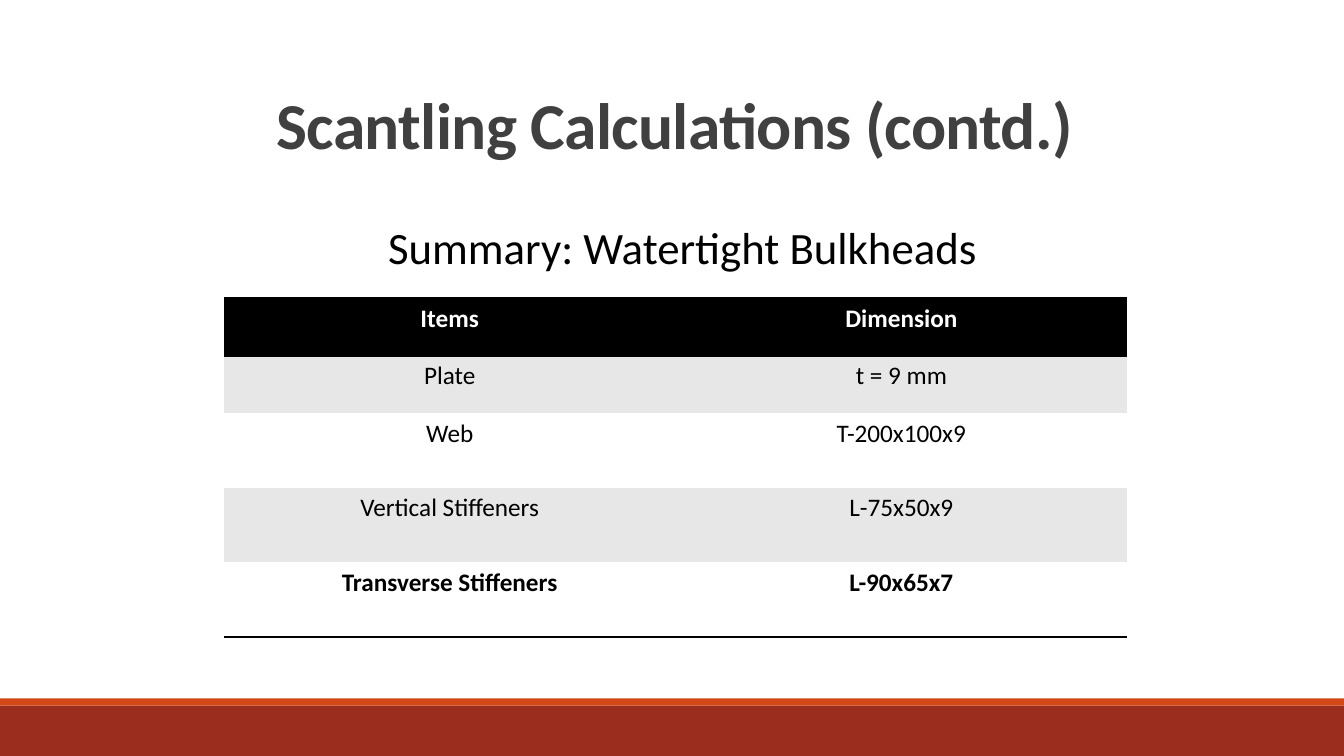
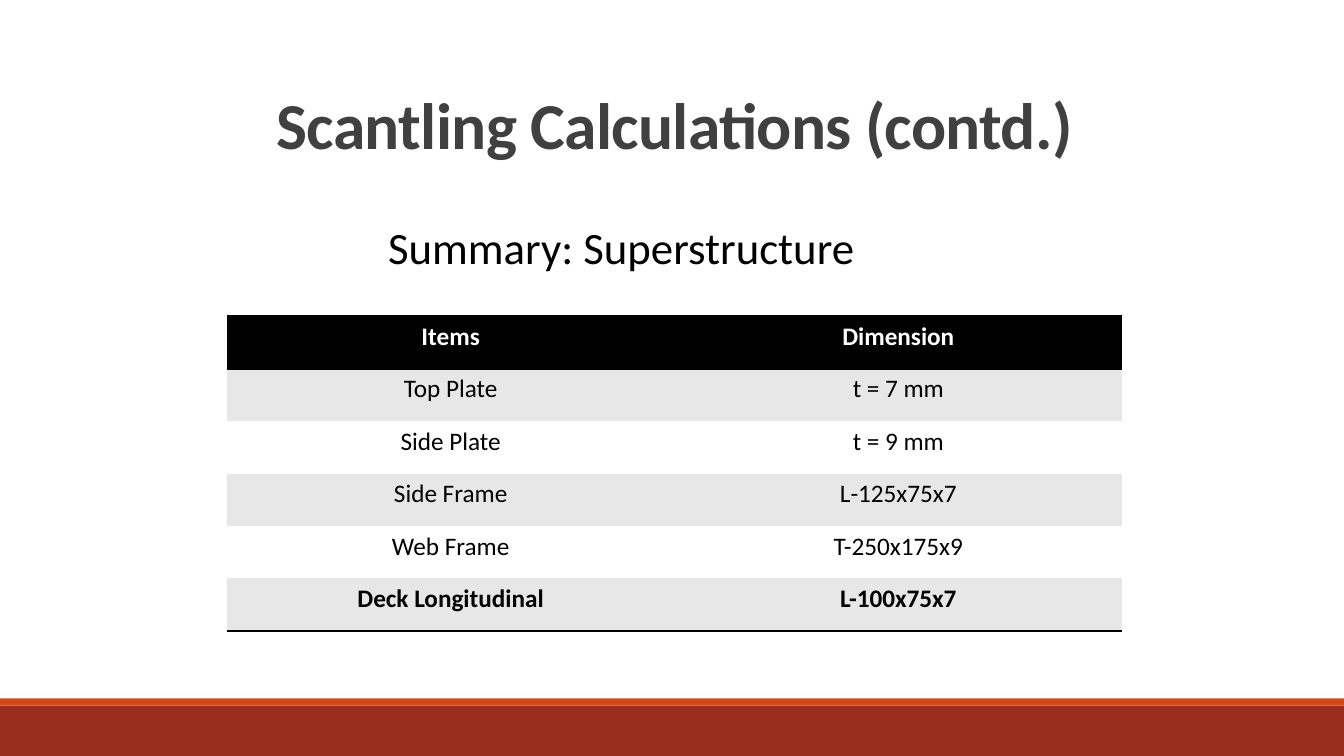
from lxml.etree import SubElement
from pptx import Presentation
from pptx.dml.color import RGBColor
from pptx.enum.shapes import MSO_SHAPE as Shape
from pptx.enum.text import MSO_ANCHOR as Anchor, MSO_AUTO_SIZE as AutoSize, PP_ALIGN as Align
from pptx.oxml import parse_xml
from pptx.oxml.ns import nsdecls, qn
from pptx.util import Inches, Pt

WIDTH, HEIGHT = 13.33, 7.5
FONT = "Calibri"
BLACK = RGBColor(0x00, 0x00, 0x00)
WHITE = RGBColor(0xFF, 0xFF, 0xFF)
STRIPE = RGBColor(0xE7, 0xE7, 0xE7)
TITLE_GREY = RGBColor(0x40, 0x40, 0x40)
BRICK = RGBColor(0x9B, 0x2D, 0x1F)
ORANGE = RGBColor(0xD3, 0x48, 0x17)

TITLE = "Scantling Calculations (contd.)"
HEADINGS = ("Items", "Dimension")
PLAIN_TABLE = "{2D5ABB26-0587-4C30-8999-92F81FD0307C}"

# Bottom bands: top, height, colour
BAND_TOP, ACCENT = 7, 0.07
BANDS = ((BAND_TOP, HEIGHT - BAND_TOP, BRICK),
         (BAND_TOP - ACCENT, ACCENT, ORANGE))

# Each slide: subtitle, then table left, top, column width, row heights, body rows
SLIDES = (
    ("Summary: Watertight Bulkheads", 2.22, 2.96, 4.48, [0.57] * 2 + [0.74] * 3,
     (("Plate", "t = 9 mm"),
      ("Web", "T-200x100x9"),
      ("Vertical Stiffeners", "L-75x50x9"),
      ("Transverse Stiffeners", "L-90x65x7"))),
    ("Summary: Superstructure", 2.25, 3.14, 4.44, [0.52] * 6,
     (("Top Plate", "t = 7 mm"),
      ("Side Plate", "t = 9 mm"),
      ("Side Frame", "L-125x75x7"),
      ("Web Frame", "T-250x175x9"),
      ("Deck Longitudinal", "L-100x75x7"))),
)


def write(frame, text, size, color, bold=False, align=Align.CENTER, spacing=None):
    frame.text = text
    para = frame.paragraphs[0]
    para.alignment = align
    para.line_spacing = spacing
    font = para.font
    font.name, font.size, font.bold = FONT, Pt(size), bold
    font.color.rgb = color
    return para


def add_bands(slide):
    for top, height, color in BANDS:
        band = slide.shapes.add_shape(Shape.RECTANGLE, 0, Inches(top),
                                      Inches(WIDTH), Inches(height))
        band.shadow.inherit = False
        band.fill.solid()
        band.fill.fore_color.rgb = color
        band.line.fill.background()


def add_title(slide):
    title = slide.shapes.title
    title.left, title.top = Inches(1.19), Inches(0.9)
    title.width, title.height = Inches(11), Inches(1.59)
    frame = title.text_frame
    frame.word_wrap, frame.auto_size = True, AutoSize.NONE
    frame.vertical_anchor = Anchor.TOP
    para = write(frame, TITLE, 46.8, TITLE_GREY, bold=True, spacing=0.85)
    # Letter spacing in hundredths of a point
    para.runs[0]._r.get_or_add_rPr().set("spc", "-50")


def add_subtitle(slide, text):
    box = slide.shapes.add_textbox(Inches(3.75), Inches(1.86), Inches(6.11), Inches(0.91))
    box.text_frame.word_wrap = True
    write(box.text_frame, text, 32, BLACK, align=Align.LEFT, spacing=1.5)


def add_border(cell, side):
    """Put a black rule on one side of a cell: T for top, B for bottom."""
    line = parse_xml(f'<a:ln{side} {nsdecls("a")} w="{Pt(2)}"/>')
    fill = SubElement(line, qn("a:solidFill"))
    SubElement(fill, qn("a:srgbClr"), val=str(BLACK))
    cell._tc.get_or_add_tcPr().insert(0, line)


def add_table(slide, left, top, column_width, heights, body):
    rows = (HEADINGS, *body)
    table = slide.shapes.add_table(
        len(rows), len(HEADINGS), Inches(left), Inches(top),
        Inches(column_width * len(HEADINGS)), Inches(sum(heights))).table
    table.horz_banding = False
    table._tbl.tblPr.find(qn("a:tableStyleId")).text = PLAIN_TABLE

    last = len(rows) - 1
    for index, (texts, height) in enumerate(zip(rows, heights)):
        table.rows[index].height = Inches(height)
        header = index == 0
        edge = index in (0, last)
        background = BLACK if header else STRIPE if index % 2 else WHITE
        for cell, text in zip(table.rows[index].cells, texts):
            write(cell.text_frame, text, 18, WHITE if header else BLACK, bold=edge)
            cell.fill.solid()
            cell.fill.fore_color.rgb = background
            if edge:
                add_border(cell, "B")
            if header:
                add_border(cell, "T")


def main():
    deck = Presentation()
    deck.slide_width, deck.slide_height = Inches(WIDTH), Inches(HEIGHT)
    title_only = deck.slide_layouts[5]
    for subtitle, *table in SLIDES:
        slide = deck.slides.add_slide(title_only)
        add_bands(slide)
        add_title(slide)
        add_subtitle(slide, subtitle)
        add_table(slide, *table)
    deck.save("out.pptx")


if __name__ == "__main__":
    main()
